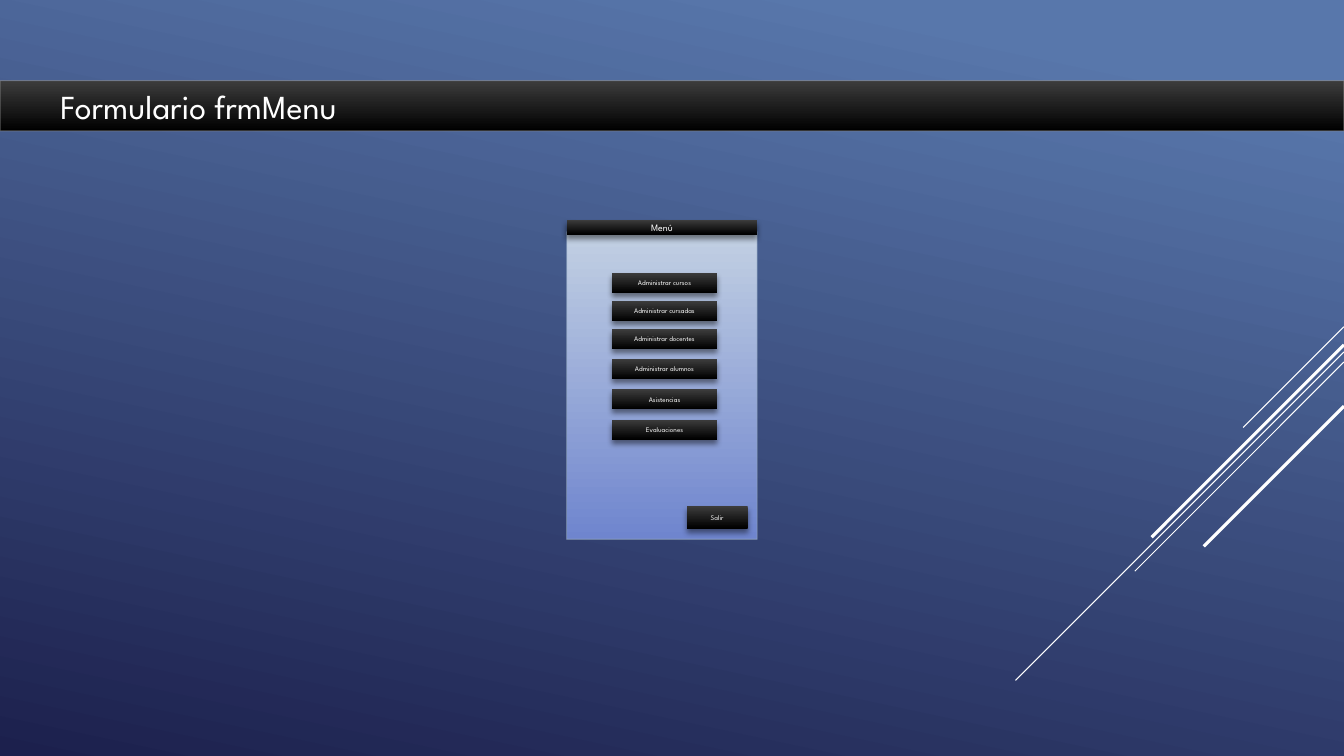
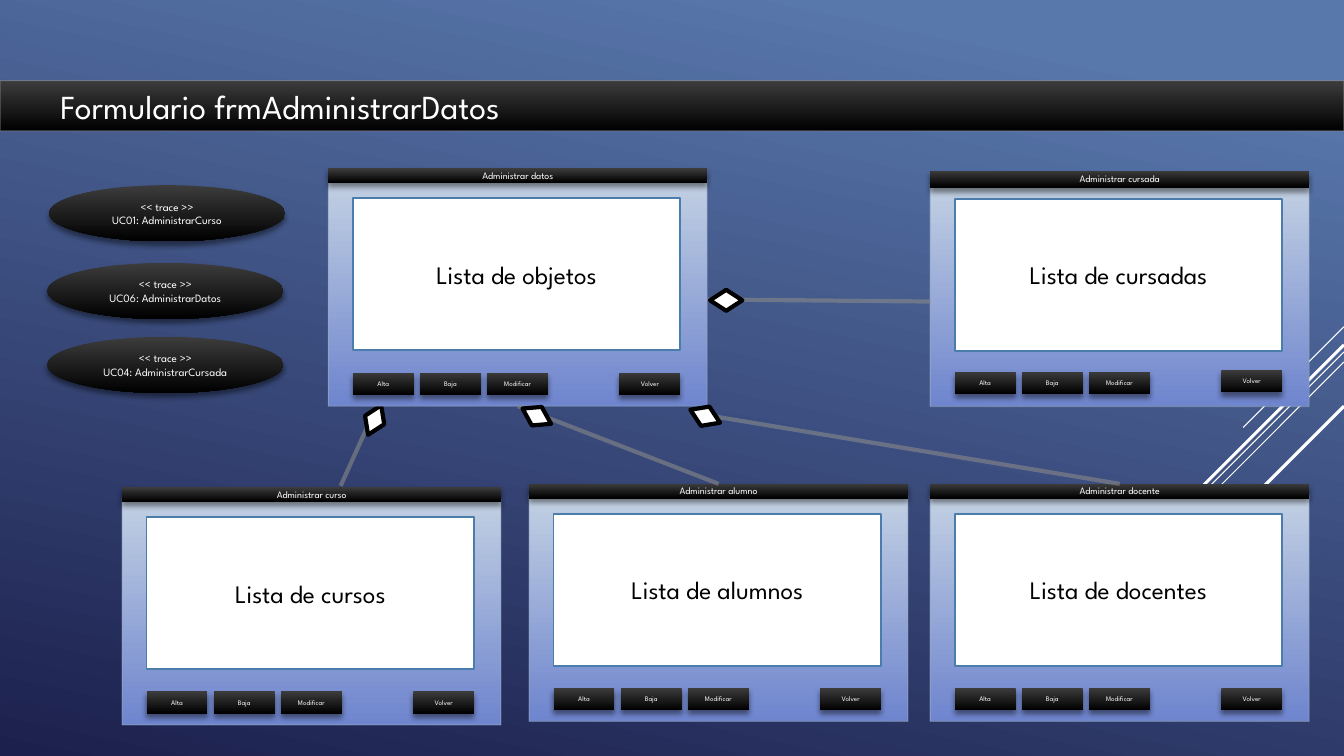
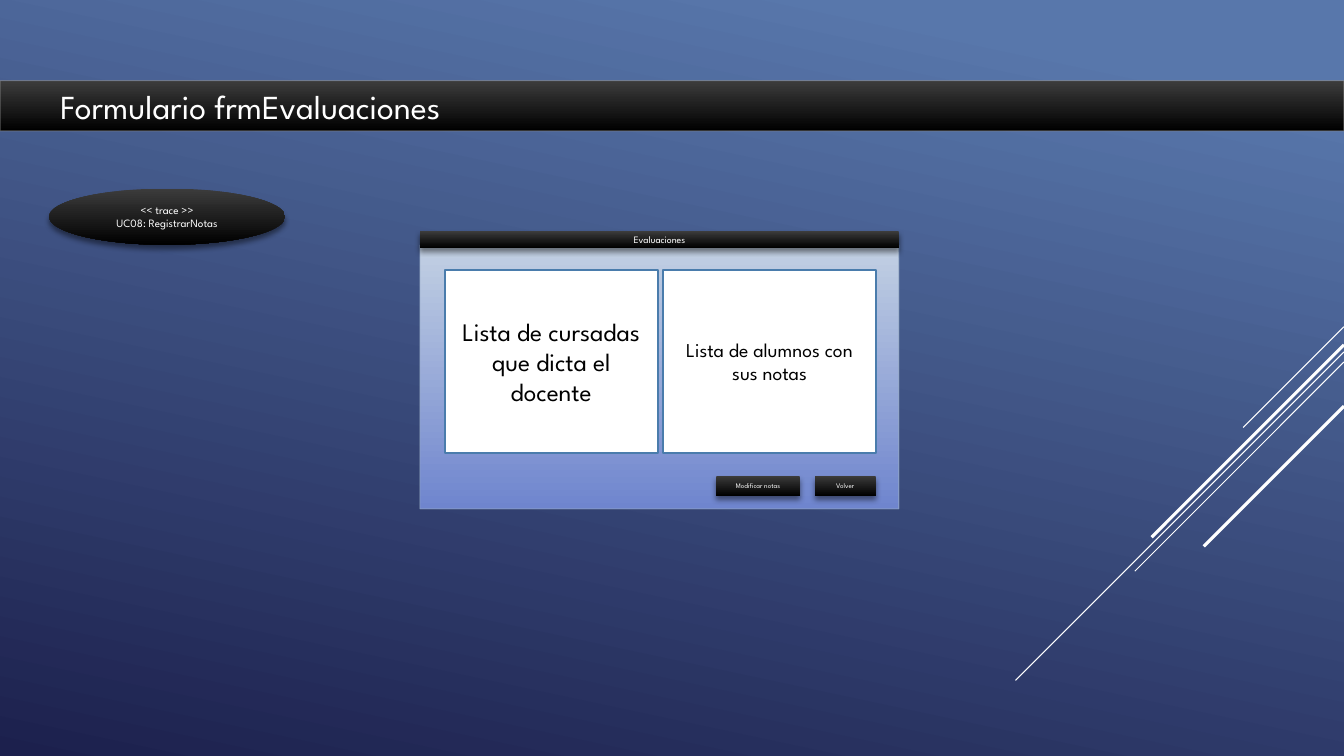
from pptx import Presentation, util as u
from pptx.dml.color import RGBColor
from pptx.enum import shapes, text
from pptx.oxml import parse_xml
from pptx.oxml.ns import nsdecls
from pptx.oxml.xmlchemy import OxmlElement

# The grid: 160 columns by 90 rows of square cells.
CELL = u.Pt(6)
COLUMNS, ROWS = 160, 90

FONT = "League Spartan"
WHITE = RGBColor(0xFF, 0xFF, 0xFF)
BLACK = RGBColor(0x00, 0x00, 0x00)
CHARCOAL = RGBColor(0x3C, 0x3C, 0x3C)
GREY = RGBColor(0x89, 0x89, 0x89)
SKY = RGBColor(0x58, 0x77, 0xAB)
NIGHT = RGBColor(0x1C, 0x20, 0x4D)
PANEL_TOP = RGBColor(0xC2, 0xD0, 0xE3)
PANEL_BOTTOM = RGBColor(0x6F, 0x85, 0xCE)
PANEL_EDGE = RGBColor(0x94, 0xA9, 0xC4)
LIST_EDGE = RGBColor(0x4A, 0x7C, 0xAC)

DARK = (CHARCOAL, BLACK)
PANEL = (PANEL_TOP, PANEL_BOTTOM)
SHAPE = shapes.MSO_SHAPE

# Row at the right edge, reach in cells, line width in points.
STREAKS = [(38.9, 12, 0.75), (41.9, 39.1, 0.75), (43.1, 24.9, 0.75),
           (41.05, 22.9, 2.25), (48.35, 16.7, 2.25)]

# Admin windows: distances in cells.
WINDOW_WIDTH = 45.1
BAR = 1.7
INSET = 2.9
LIST_WIDTH, LIST_HEIGHT = 39, 18.1
BUTTON_WIDTH, BUTTON_HEIGHT = 7.25, 2.65
LOW_BUTTON = 2.35
BUTTON_PITCH = 8


def cells(*counts):
    return [u.Emu(round(count * CELL)) for count in counts]


def paint_gradient(fill, colours, angle=90, start=0):
    """Two-colour gradient; the angle runs clockwise from left to right."""
    fill.gradient()
    fill.gradient_angle = 360 - angle
    for stop, colour, position in zip(fill.gradient_stops, colours, (start, 1)):
        stop.color.rgb = colour
        stop.position = position


def draw_line(shape, colour, width, opacity=100):
    shape.line.color.rgb = colour
    shape.line.width = u.Pt(width)
    if opacity < 100:
        alpha = OxmlElement("a:alpha")
        alpha.set("val", str(opacity * 1000))
        shape._element.spPr.xpath("a:ln//a:srgbClr")[0].append(alpha)


def cast_shadow(shape):
    shape._element.spPr.xpath("a:effectLst")[0].append(parse_xml(
        f'<a:outerShdw {nsdecls("a")} blurRad="{u.Pt(4)}" dist="{u.Pt(3)}" '
        'dir="5400000" rotWithShape="0"><a:srgbClr val="000000">'
        '<a:alpha val="46000"/></a:srgbClr></a:outerShdw>'))


class FormDeck:
    """The deck's style and the page being drawn."""

    def __init__(self):
        self.deck = Presentation()
        self.deck.slide_width, self.deck.slide_height = cells(COLUMNS, ROWS)
        paint_gradient(self.deck.slide_master.background.fill, (SKY, NIGHT),
                       angle=102, start=0.1)
        self.page = None

    def start_page(self):
        self.page = self.deck.slides.add_slide(self.deck.slide_layouts[6])
        for row, reach, width in STREAKS:
            self.connector((COLUMNS, row), (COLUMNS - reach, row + reach), WHITE, width)

    def connector(self, start, end, colour, width, opacity=100):
        line = self.page.shapes.add_connector(
            shapes.MSO_CONNECTOR.STRAIGHT, *cells(*start, *end))
        line._element.spPr.append(OxmlElement("a:effectLst"))
        draw_line(line, colour, width, opacity)
        return line

    def shape(self, kind, left, top, width, height, fill):
        """Shape without line; fill is one colour or a pair for a gradient."""
        box = self.page.shapes.add_shape(kind, *cells(left, top, width, height))
        box.shadow.inherit = False
        box.line.fill.background()
        if isinstance(fill, RGBColor):
            box.fill.solid()
            box.fill.fore_color.rgb = fill
        else:
            paint_gradient(box.fill, fill)
        return box

    def label(self, box, lines, size, colour=WHITE, align=text.PP_ALIGN.CENTER):
        frame = box.text_frame
        frame.word_wrap = True
        frame.vertical_anchor = text.MSO_ANCHOR.MIDDLE
        frame.text = lines
        for para in frame.paragraphs:
            para.alignment = align
            para.font.name = FONT
            para.font.size = u.Pt(size)
            para.font.color.rgb = colour

    def title(self, words):
        band = self.shape(SHAPE.RECTANGLE, 0, 9.6, COLUMNS, 6, DARK)
        draw_line(band, GREY, 0.75, 60)
        self.label(band, words, 24, align=text.PP_ALIGN.LEFT)
        band.text_frame.vertical_anchor = text.MSO_ANCHOR.TOP
        band.text_frame.margin_left, = cells(7.2)

    def raised(self, kind, left, top, width, height, words, size):
        box = self.shape(kind, left, top, width, height, DARK)
        cast_shadow(box)
        self.label(box, words, size)
        return box

    def button(self, left, top, words, width=BUTTON_WIDTH, height=BUTTON_HEIGHT):
        self.raised(SHAPE.RECTANGLE, left, top, width, height, words, 5)

    def trace(self, left, top, use_case):
        self.raised(SHAPE.OVAL, left, top, 28.1, 6.7, f"<< trace >>\n{use_case}", 8)

    def list_box(self, left, top, width, height, words, size=18):
        box = self.shape(SHAPE.RECTANGLE, left, top, width, height, WHITE)
        draw_line(box, LIST_EDGE, 1.25)
        self.label(box, words, size, BLACK)

    def window(self, left, top, width, height, words, bar=BAR):
        """Panel under a title bar; returns both."""
        overlap = 0.3
        panel = self.shape(SHAPE.RECTANGLE, left, top + bar - overlap, width,
                           height - bar + overlap, PANEL)
        draw_line(panel, PANEL_EDGE, 0.75, 60)
        heading = self.raised(SHAPE.RECTANGLE, left, top, width, bar, words, 7)
        return heading, panel

    def admin_window(self, left, top, subject, items, height=28.3, bar=BAR,
                     lift=0, back_lift=0):
        """Window with a list and four buttons, placed from its bottom edge."""
        parts = self.window(left, top, WINDOW_WIDTH, height,
                            f"Administrar {subject}", bar)
        bottom, inner = top + height, left + INSET
        self.list_box(inner, bottom - 24.75, LIST_WIDTH, LIST_HEIGHT,
                      f"Lista de {items}")
        for place, words in enumerate(["Alta", "Baja", "Modificar"]):
            self.button(inner + place * BUTTON_PITCH, bottom - 4 - lift, words)
        self.button(inner + LIST_WIDTH - BUTTON_WIDTH, bottom - 4 - back_lift, "Volver")
        return parts

    def aggregation(self, start, end, centre, angle, source=None, target=None):
        """Grey line with a diamond; source and target are shapes to join."""
        line = self.connector(start, end, GREY, 3, 60)
        if source is not None:
            line.begin_connect(source, 2)
        if target is not None:
            line.end_connect(target, 0)
        width, height = 2.5, 3.85
        diamond = self.shape(SHAPE.FLOWCHART_DECISION, centre[0] - width / 2,
                             centre[1] - height / 2, width, height, WHITE)
        draw_line(diamond, BLACK, 3)
        diamond.rotation = angle


def menu_page(form):
    form.start_page()
    form.window(67.45, 26.2, 22.7, 38, "Menú")
    options = {32.5: "Administrar cursos", 35.85: "Administrar cursadas",
               39.2: "Administrar docentes", 42.75: "Administrar alumnos",
               46.35: "Asistencias", 49.95: "Evaluaciones"}
    for top, words in options.items():
        form.button(72.85, top, words, 12.55, LOW_BUTTON)
    form.button(81.75, 60.25, "Salir")
    form.title("Formulario frmMenu")


def admin_page(form):
    form.start_page()
    form.aggregation((44.5, 49.1), (40.55, 57.85), (44.6, 50), 23.9)
    form.title("Formulario frmAdministrarDatos")
    form.trace(5.85, 22.05, "UC01: AdministrarCurso")
    form.trace(5.65, 31.3, "UC06: AdministrarDatos")
    form.trace(5.65, 40.1, "UC04: AdministrarCursada")

    _, data_panel = form.admin_window(39.1, 20.05, "datos", "objetos")
    teacher_bar, _ = form.admin_window(110.75, 57.6, "docente", "docentes")
    student_bar, _ = form.admin_window(63, 57.6, "alumno", "alumnos")
    form.admin_window(14.55, 58, "curso", "cursos")
    form.aggregation((83.4, 49.3), (133.3, 57.6), (83.95, 49.55), 113.7,
                     target=teacher_bar)
    form.aggregation((61.65, 48.4), (85.55, 57.6), (63.9, 49.55), 118.2,
                     source=data_panel, target=student_bar)
    form.admin_window(110.75, 20.3, "cursada", "cursadas", height=28.1, bar=2,
                      lift=0.15, back_lift=0.35)
    form.aggregation((84.25, 35.65), (110.75, 35.9), (86.45, 35.75), 90)


def grades_page(form):
    form.start_page()
    form.window(50, 27.5, 57, 33.1, "Evaluaciones", bar=2)
    form.list_box(52.95, 32.15, 25.35, 21.75, "Lista de cursadas\nque dicta el docente")
    form.list_box(78.95, 32.15, 25.35, 21.75, "Lista de alumnos con sus notas", 14)
    form.button(85.3, 56.65, "Modificar notas", 9.9, LOW_BUTTON)
    form.button(97, 56.65, "Volver", height=LOW_BUTTON)
    form.title("Formulario frmEvaluaciones")
    form.trace(5.85, 22.45, "UC08: RegistrarNotas")


def main():
    form = FormDeck()
    for draw_page in (menu_page, admin_page, grades_page):
        draw_page(form)
    form.deck.save("out.pptx")


if __name__ == "__main__":
    main()
